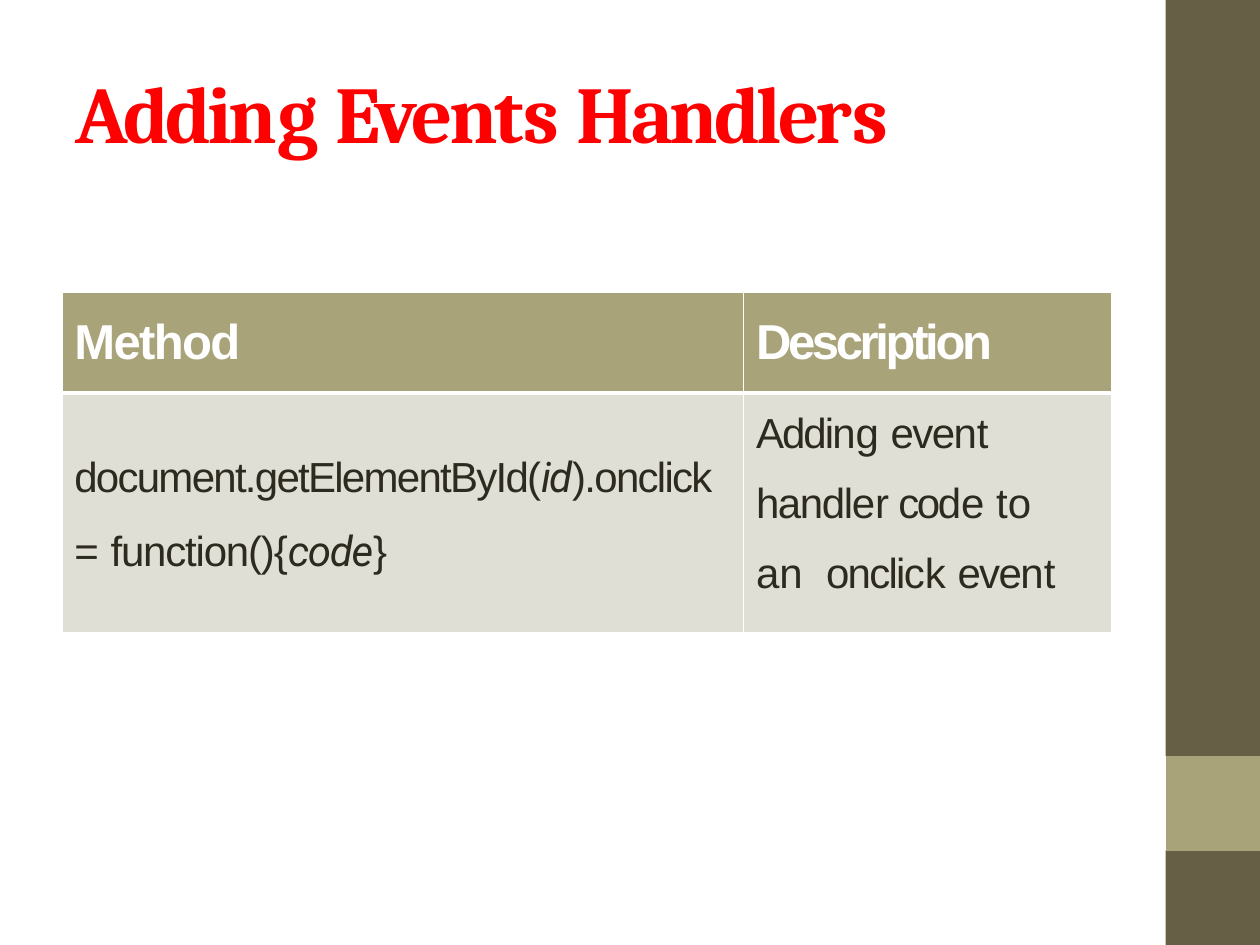
from lxml.etree import SubElement
from pptx import Presentation
from pptx.dml.color import RGBColor
from pptx.oxml.ns import qn
from pptx.util import Inches, Pt


def color(hex_string):
    return RGBColor.from_string(hex_string)


class SlideBuilder:
    heading_font, body_font, code_font = "Cambria", "Arial", "Roboto"
    dark, accent, pale = "675E46", "A9A37A", "E0DFD5"
    title_color, ink, white = "FF0000", "2D2B1F", "FFFFFF"

    def __init__(self, presentation):
        self.slide = presentation.slides.add_slide(presentation.slide_layouts[6])

    def side_panel(self, fill, spans, left=9.25, right=10):
        """Draw one shape made of a block for each (top, bottom) span."""
        builder = None
        for top, bottom in spans:
            points = [(Inches(x), Inches(y)) for x, y in
                      ((right, top), (left, top), (left, bottom), (right, bottom))]
            if builder is None:
                builder = self.slide.shapes.build_freeform(*points[0])
            else:
                builder.move_to(*points[0])
            builder.add_line_segments(points[1:], close=True)
        shape = builder.convert_to_shape()
        shape.shadow.inherit = False
        shape.fill.solid()
        shape.fill.fore_color.rgb = color(fill)
        shape.line.fill.background()

    def add_runs(self, paragraph, pieces, font, size, text_color, bold=False):
        """Add (text, letter spacing, italic code) pieces to a paragraph."""
        for text, spacing, is_code in pieces:
            run = paragraph.add_run()
            run.text = text
            run.font.name = self.code_font if is_code else font
            run.font.size = Pt(size)
            run.font.bold = bold
            run.font.italic = is_code
            run.font.color.rgb = color(text_color)
            run._r.get_or_add_rPr().set("spc", str(round(spacing * 100)))

    def title(self, pieces, left, top, width, height):
        box = self.slide.shapes.add_textbox(
            Inches(left), Inches(top), Inches(width), Inches(height))
        frame = box.text_frame
        frame.word_wrap = True
        frame.margin_left = frame.margin_top = Inches(0.01)
        frame.margin_right = frame.margin_bottom = 0
        self.add_runs(frame.paragraphs[0], pieces, self.heading_font, 46,
                      self.title_color, bold=True)

    def table(self, left, top, widths, heights):
        shape = self.slide.shapes.add_table(
            len(heights), len(widths), Inches(left), Inches(top),
            Inches(sum(widths)), Inches(sum(heights)))
        for column, width in zip(shape.table.columns, widths):
            column.width = Inches(width)
        for row, height in zip(shape.table.rows, heights):
            row.height = Inches(height)
        return shape.table

    def cell(self, cell, paragraphs, fill, borders, margin_top, margin_right=0,
             size=24, text_color=ink, bold=False):
        cell.margin_left, cell.margin_top = Inches(0.1), Inches(margin_top)
        cell.margin_right, cell.margin_bottom = Inches(margin_right), 0
        frame = cell.text_frame
        for index, pieces in enumerate(paragraphs):
            paragraph = frame.add_paragraph() if index else frame.paragraphs[0]
            self.add_runs(paragraph, pieces, self.body_font, size, text_color, bold)
        # Borders go before the fill in the cell properties
        properties = cell._tc.get_or_add_tcPr()
        for side, width in zip("LRTB", borders):
            line = SubElement(properties, qn(f"a:ln{side}"), w=str(Pt(width)))
            line_fill = SubElement(line, qn("a:solidFill"))
            SubElement(line_fill, qn("a:srgbClr"), val=self.white)
        cell.fill.solid()
        cell.fill.fore_color.rgb = color(fill)


def main():
    presentation = Presentation()
    presentation.slide_width, presentation.slide_height = Inches(10), Inches(7.5)
    builder = SlideBuilder(presentation)

    # Side decoration
    builder.side_panel(builder.dark, [(6.75, 7.5), (0, 6)])
    builder.side_panel(builder.accent, [(6, 6.75)])

    # Title
    builder.title([("Addin", -2.1, False), ("g ", -0.1, False),
                   ("Event", -2, False), ("s ", -0.1, False),
                   ("Handler", -2.1, False), ("s", -0.1, False)],
                  0.59, 0.49, 7.37, 0.79)

    # Table header
    table = builder.table(0.49, 2.32, widths=[5.41, 2.92], heights=[0.8, 1.9])
    for column, (label, spacing) in enumerate([("Method", -0.9),
                                               ("Description", -1.9)]):
        builder.cell(table.cell(0, column), [[(label, spacing, False)]],
                     builder.accent, (1, 1, 1, 3), 0.18, size=28,
                     text_color=builder.white, bold=True)

    # Method cell
    method = table.cell(1, 0)
    builder.cell(method, [
        [("document.getElementById(", -1, False), ("id", -1, True),
         (").onclick", -1, False)],
        [("= ", 0, False), ("function(){", -0.67, False),
         ("code", -0.7, True), ("}", 0, False)],
    ], builder.pale, (1, 1, 3, 1), 0.48)
    method.text_frame.paragraphs[1].space_before = Pt(14.1)

    # Description cell
    description = table.cell(1, 1)
    builder.cell(description, [
        [("Addin", -1.1, False), ("g ", 0, False),
         ("even", -0.9, False), ("t", 0, False)],
        [("handle", -0.8, False), ("r", 0, False), (" cod", -1.4, False),
         ("e to ", 0, False), ("a", -1.4, False), ("n", 0, False),
         (" ", 6.7, False), ("onclic", -1, False), ("k ", 0, False),
         ("even", -0.9, False), ("t", 0, False)],
    ], builder.pale, (1, 1, 3, 1), 0.14, margin_right=0.3)
    description.text_frame.paragraphs[1].line_spacing = 1.49

    presentation.save("out.pptx")


if __name__ == "__main__":
    main()
